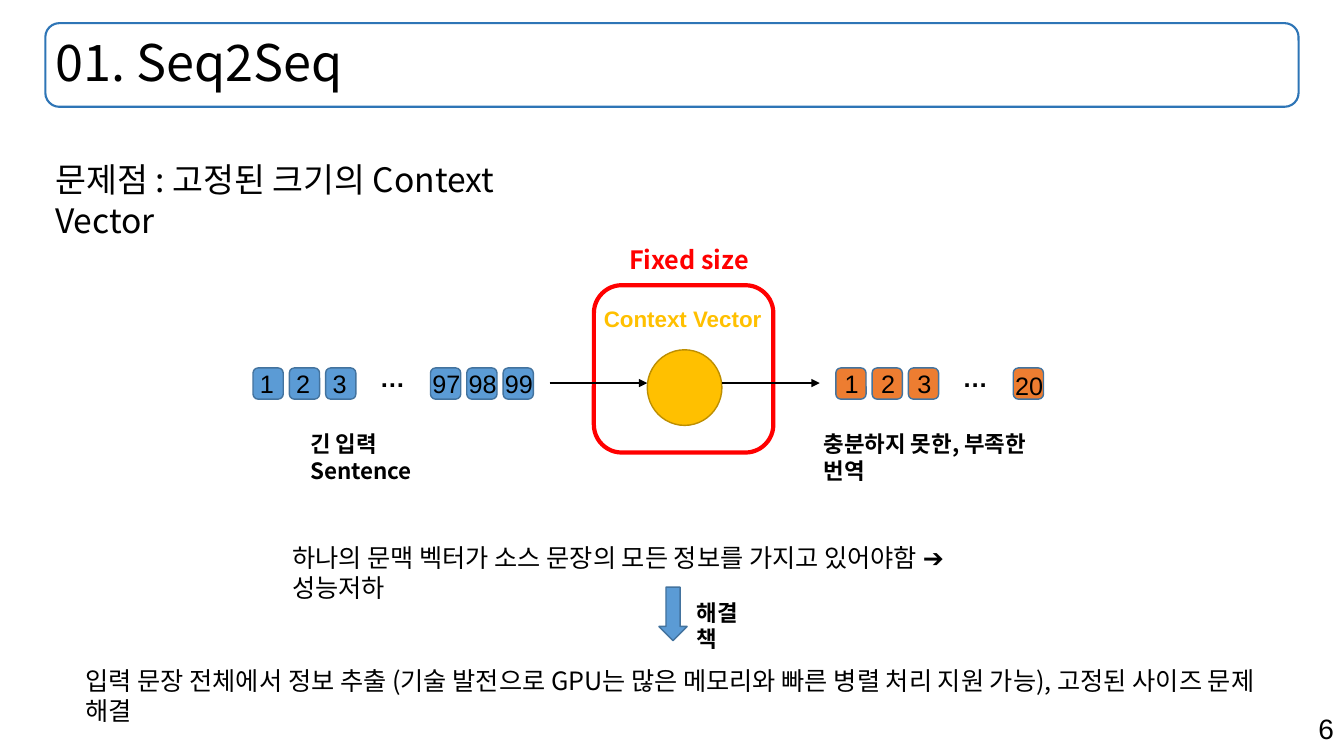
from dataclasses import dataclass

from lxml.etree import SubElement
from pptx import Presentation
from pptx.dml.color import RGBColor
from pptx.enum.shapes import MSO_CONNECTOR, MSO_SHAPE
from pptx.enum.text import MSO_ANCHOR, MSO_AUTO_SIZE, PP_ALIGN
from pptx.oxml.ns import qn
from pptx.util import Inches, Pt


@dataclass(frozen=True)
class Theme:
    korean: str = "Noto Sans CJK KR"
    latin: str = "Arial"
    black: str = "000000"
    red: str = "FF0000"
    gold: str = "FFC000"
    gold_edge: str = "BD8E00"
    blue: str = "5B9BD5"
    blue_edge: str = "43739E"
    frame: str = "2E75B6"
    orange: str = "ED7D31"
    title: int = 36
    heading: int = 24
    number: int = 20
    body: int = 18
    label: int = 16


class SlideBuilder:
    def __init__(self, prs, theme):
        self.theme = theme
        self.s = prs.slides.add_slide(prs.slide_layouts[5])

    def fill_text(self, tf, text, size, font=None, color=None, bold=False,
                  align=PP_ALIGN.LEFT):
        p = tf.paragraphs[0]
        p.alignment = align
        r = p.add_run()
        r.text = text
        name = font or self.theme.korean
        for key, value in {"name": name, "size": Pt(size), "bold": bold}.items():
            setattr(r.font, key, value)
        r.font.color.rgb = RGBColor.from_string(color or self.theme.black)
        SubElement(r._r.get_or_add_rPr(), qn("a:ea")).set("typeface", name)
        return p

    def title(self, box, text):
        sp = self.s.shapes.title
        for key, value in zip(("left", "top", "width", "height"), box):
            setattr(sp, key, Inches(value))
        tf = sp.text_frame
        settings = {"word_wrap": True, "auto_size": MSO_AUTO_SIZE.NONE,
                    "vertical_anchor": MSO_ANCHOR.MIDDLE}
        for key, value in settings.items():
            setattr(tf, key, value)
        self.fill_text(tf, text, self.theme.title).line_spacing = 0.9

    def text(self, box, text, size, wrap=True, **style):
        tf = self.s.shapes.add_textbox(*map(Inches, box)).text_frame
        tf.word_wrap = wrap
        self.fill_text(tf, text, size, **style)

    def shape(self, kind, box, line, weight=1, fill=None, rotation=0):
        sp = self.s.shapes.add_shape(kind, *map(Inches, box))
        sp.shadow.inherit = False
        sp.rotation = rotation
        if fill:
            sp.fill.solid()
            sp.fill.fore_color.rgb = RGBColor.from_string(fill)
        else:
            sp.fill.background()
        sp.line.color.rgb = RGBColor.from_string(line)
        sp.line.width = Pt(weight)

    def arrow(self, x1, x2, y):
        ends = map(Inches, (x1, y, x2, y))
        cxn = self.s.shapes.add_connector(MSO_CONNECTOR.STRAIGHT, *ends)
        cxn.line.color.rgb = RGBColor.from_string(self.theme.black)
        cxn.line.width = Pt(1.5)
        spPr = cxn._element.spPr
        SubElement(spPr.find(qn("a:ln")), qn("a:tailEnd")).set("type", "triangle")
        SubElement(spPr, qn("a:effectLst"))

    def tokens(self, left, words, fill, shift, top):
        for i, word in enumerate(words):
            x = left + i * 0.36
            self.shape(MSO_SHAPE.ROUNDED_RECTANGLE, (x, 3.65, 0.3, 0.31),
                       self.theme.blue_edge, fill=fill)
            dx, width = (-0.08, 0.48) if len(word) > 1 else (shift, 0.34)
            self.text((x + dx, top, width, 0.4), word, self.theme.body,
                      wrap=False, font=self.theme.latin)


def main():
    """Build the Seq2Seq slide on the fixed-size context vector."""
    t = Theme()
    prs = Presentation()
    prs.slide_width, prs.slide_height = Inches(13.33), Inches(7.5)
    b = SlideBuilder(prs, t)

    header = (0.45, 0.23, 12.43, 0.83)
    b.shape(MSO_SHAPE.ROUNDED_RECTANGLE, header, t.frame, 1.5)
    b.title(header, "01. Seq2Seq")
    b.text((9.43, 7.01, 3.9, 0.44), "6", t.number, font=t.latin, align=PP_ALIGN.RIGHT)
    b.text((0.45, 1.53, 5.54, 0.5), "문제점 : 고정된 크기의 Context Vector", t.heading)

    b.shape(MSO_SHAPE.OVAL, (6.42, 3.47, 0.74, 0.75), t.gold_edge, fill=t.gold)
    b.text((5.89, 2.98, 1.78, 0.37), "Context Vector", t.label, wrap=False,
           font=t.latin, color=t.gold, bold=True)
    b.text((6.14, 2.37, 1.49, 0.4), "Fixed size", t.body, color=t.red, bold=True)
    b.shape(MSO_SHAPE.ROUNDED_RECTANGLE, (5.89, 2.83, 1.78, 1.66), t.red, 3)
    for x in (5.45, 7.16):
        b.arrow(x, x + 0.97, 3.8)

    b.tokens(2.51, ("1", "2", "3"), t.blue, -0.03, 3.6)
    b.tokens(4.27, ("97", "98", "99"), t.blue, -0.03, 3.6)
    b.tokens(8.29, ("1", "2", "3"), t.orange, -0.01, 3.61)
    b.tokens(10.05, ("20",), t.orange, -0.01, 3.62)
    for x in (3.67, 9.45):
        b.text((x, 3.55, 0.45, 0.4), "…", t.body, wrap=False, font=t.latin, bold=True)

    b.shape(MSO_SHAPE.RIGHT_ARROW, (6.41, 5.95, 0.53, 0.28), t.blue_edge,
            fill=t.blue, rotation=90)
    for box, label in (
        ((2.98, 4.22, 1.86, 0.37), "긴 입력 Sentence"),
        ((8.07, 4.22, 2.56, 0.37), "충분하지 못한, 부족한 번역"),
        ((6.81, 5.89, 0.79, 0.37), "해결책"),
    ):
        b.text(box, label, t.label, bold=True)
    for box, sentence in (
        ((2.8, 5.33, 7.41, 0.4),
         "하나의 문맥 벡터가 소스 문장의 모든 정보를 가지고 있어야함 ➔ 성능저하"),
        ((0.75, 6.55, 11.82, 0.4),
         "입력 문장 전체에서 정보 추출 (기술 발전으로 GPU는 많은 메모리와 빠른 병렬 처리 지원 가능), "
         "고정된 사이즈 문제 해결"),
    ):
        b.text(box, sentence, t.body)

    prs.save("out.pptx")


if __name__ == "__main__":
    main()
